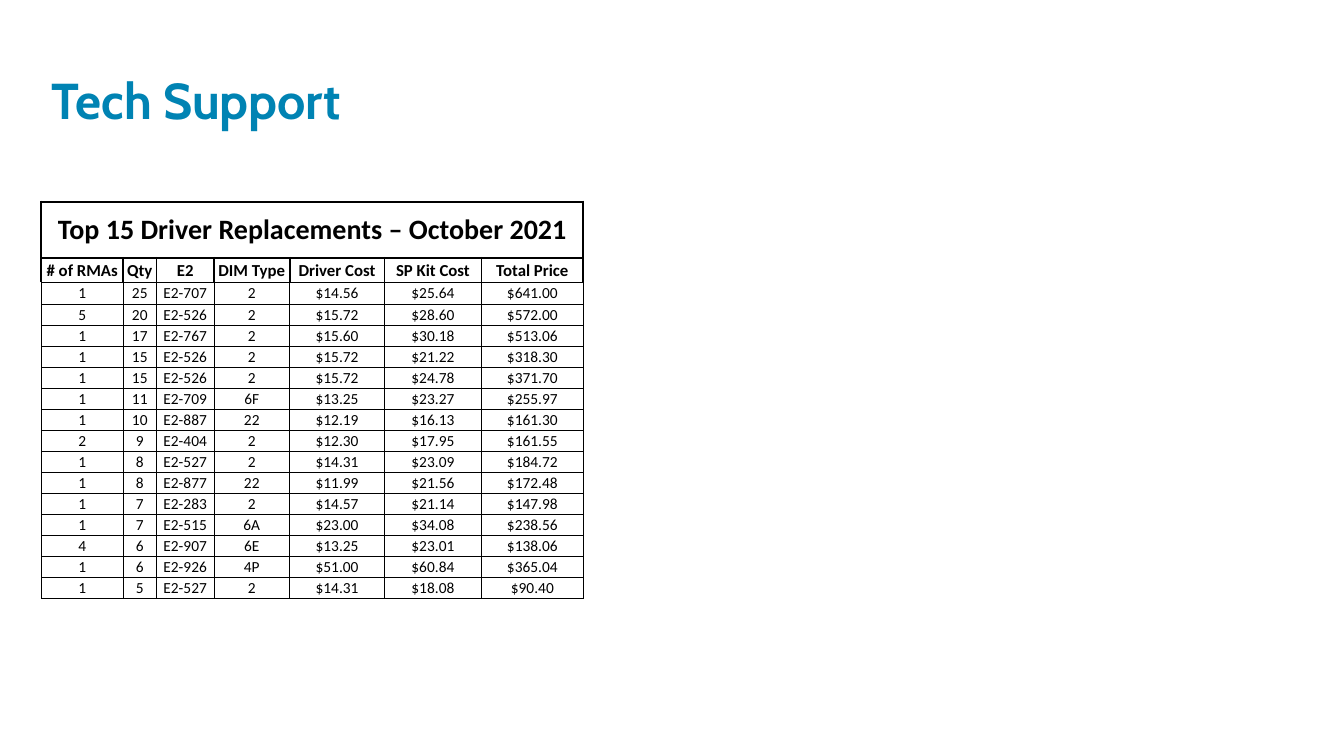
from pptx import Presentation
from pptx.dml.color import RGBColor
from pptx.enum.text import MSO_ANCHOR, PP_ALIGN
from pptx.oxml.ns import qn
from pptx.util import Inches, Pt
from lxml.etree import SubElement

WIDE, HIGH = Inches(13.33), Inches(7.5)
BLUE = RGBColor(0x00, 0x83, 0xB3)
BLACK = RGBColor(0x00, 0x00, 0x00)
THIN, THICK = Pt(0.5), Pt(1.5)
COLS = [81, 33, 57, 75, 94, 96, 101]
ROWS = [56, 24, 22] + [21] * 14
HEAD = ["# of RMAs", "Qty", "E2", "DIM Type", "Driver Cost", "SP Kit Cost", "Total Price"]
PARTS = """
1 25 E2-707 2 $14.56 $25.64 $641.00
5 20 E2-526 2 $15.72 $28.60 $572.00
1 17 E2-767 2 $15.60 $30.18 $513.06
1 15 E2-526 2 $15.72 $21.22 $318.30
1 15 E2-526 2 $15.72 $24.78 $371.70
1 11 E2-709 6F $13.25 $23.27 $255.97
1 10 E2-887 22 $12.19 $16.13 $161.30
2 9 E2-404 2 $12.30 $17.95 $161.55
1 8 E2-527 2 $14.31 $23.09 $184.72
1 8 E2-877 22 $11.99 $21.56 $172.48
1 7 E2-283 2 $14.57 $21.14 $147.98
1 7 E2-515 6A $23.00 $34.08 $238.56
4 6 E2-907 6E $13.25 $23.01 $138.06
1 6 E2-926 4P $51.00 $60.84 $365.04
1 5 E2-527 2 $14.31 $18.08 $90.40
"""


def place(left, top, width, height):
    return [int(share * side / 100) for share, side in
            zip((left, top, width, height), (WIDE, HIGH, WIDE, HIGH))]


def style(para, name, size, color, bold):
    font = para.font
    font.name, font.size, font.bold = name, Pt(size), bold
    font.color.rgb = color


def add_title(slide, text, box):
    frame = slide.shapes.add_textbox(*box).text_frame
    frame.word_wrap = True
    frame.vertical_anchor = MSO_ANCHOR.BOTTOM
    para = frame.paragraphs[0]
    para.text = text
    para.line_spacing = 0.8
    style(para, "Cabin", 36, BLUE, True)


def add_edge(cell, side, width):
    line = SubElement(cell._tc.get_or_add_tcPr(), qn("a:ln" + side), w=str(width))
    fill = SubElement(line, qn("a:solidFill"))
    SubElement(fill, qn("a:srgbClr"), val=str(BLACK))


def fill_cell(cell, text, size, bold, edges):
    for side, width in zip("LRTB", edges):
        add_edge(cell, side, width)
    cell.fill.background()
    cell.margin_left = cell.margin_right = cell.margin_top = Inches(0.01)
    cell.margin_bottom = 0
    cell.vertical_anchor = MSO_ANCHOR.MIDDLE
    para = cell.text_frame.paragraphs[0]
    para.text = text
    para.alignment = PP_ALIGN.CENTER
    style(para, "Calibri", size, BLACK, bold)


def add_grid(slide, title, box):
    table = slide.shapes.add_table(len(ROWS), len(COLS), *box).table
    table.first_row = table.horz_banding = False
    for col, share in zip(table.columns, COLS):
        col.width = box[2] * share // sum(COLS)
    for row, share in zip(table.rows, ROWS):
        row.height = box[3] * share // sum(ROWS)
    table.cell(0, 0).merge(table.cell(0, len(COLS) - 1))
    top = [title] + [""] * (len(COLS) - 1)
    body = [line.split() for line in PARTS.strip().splitlines()]
    looks = [(20, True, [THICK] * 4), (12, True, [THICK] * 3 + [THIN])]
    looks += [(11, False, [THIN] * 4)] * len(body)
    for row, texts, look in zip(table.rows, [top, HEAD] + body, looks):
        for cell, text in zip(row.cells, texts):
            fill_cell(cell, text, *look)


def main():
    deck = Presentation()
    deck.slide_width, deck.slide_height = WIDE, HIGH
    slide = deck.slides.add_slide(deck.slide_layouts[6])
    add_title(slide, "Tech Support", place(3.08, 4.4, 71.27, 13.33))
    add_grid(slide, "Top 15 Driver Replacements – October 2021",
             place(3.08, 26.67, 40.33, 52.53))
    deck.save("out.pptx")


main()
